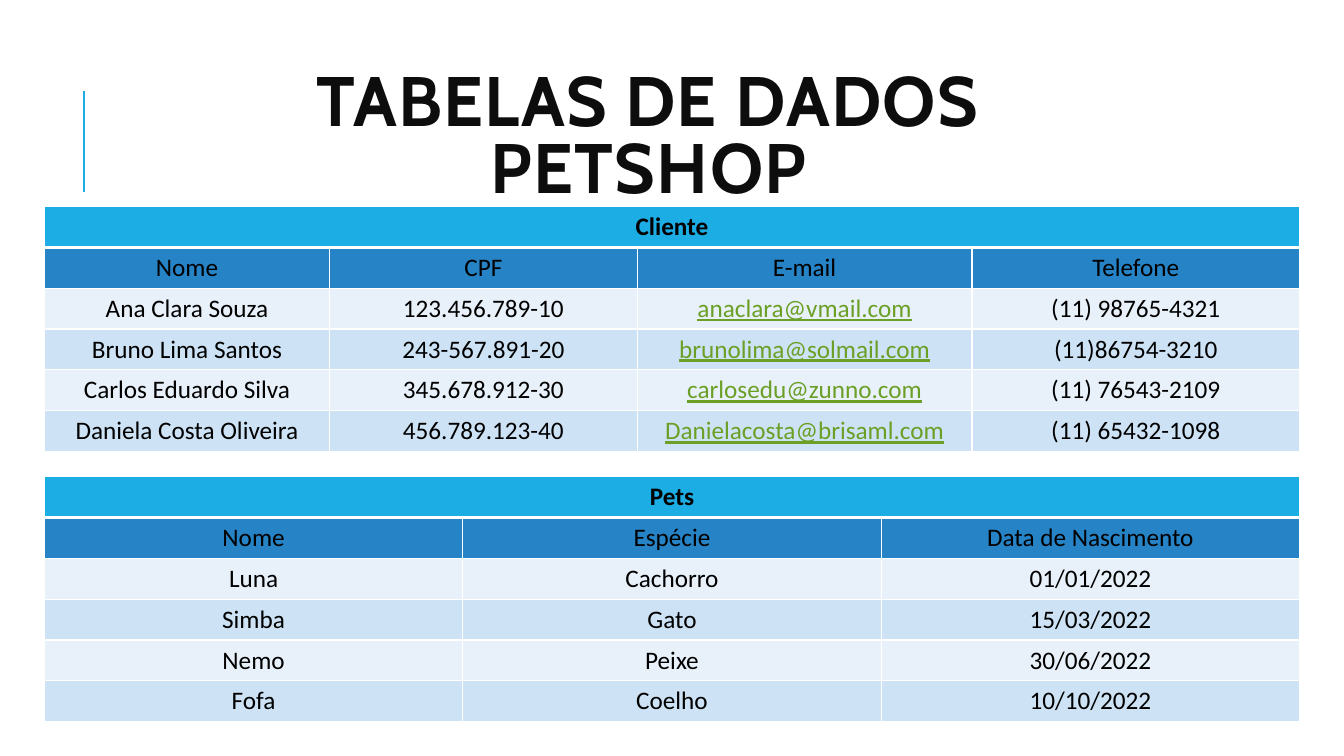
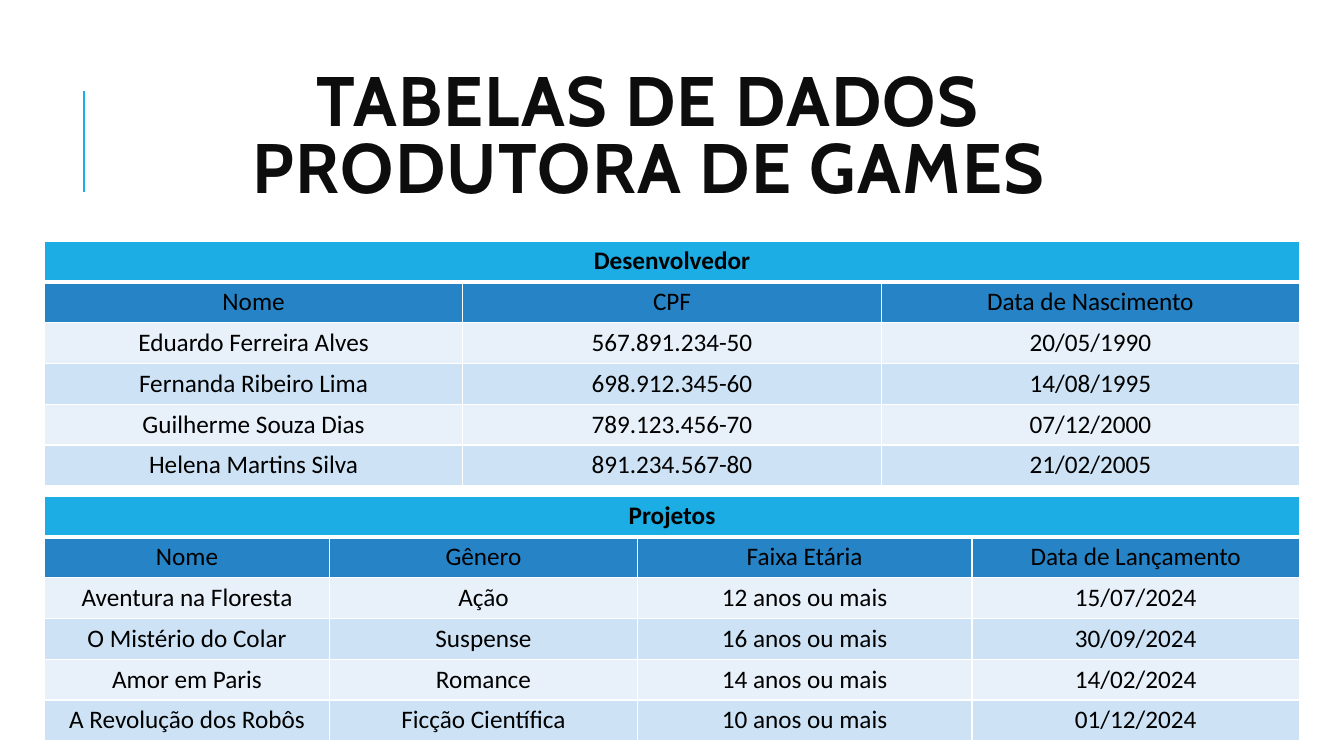
import pptx
import pptx.dml.color
import pptx.enum.shapes
import pptx.enum.text
import pptx.oxml
import pptx.oxml.ns
import pptx.util

Inches = pptx.util.Inches
Pt = pptx.util.Pt
CENTER = pptx.enum.text.PP_ALIGN.CENTER

WHITE, BLACK, INK = "FFFFFF", "000000", "0D0D0D"
SKY, BLUE, GREEN = "1CADE4", "2683C6", "6B9F25"
BANDS = ["E8F1FA", "CDE3F5"]

LEFT, HEIGHT, ROWS = 0.44, 2.43, 6
THREE = [4.15] * 3
FOUR = [2.83, 3.05, 3.32, 3.25]


def color(text):
    return pptx.dml.color.RGBColor.from_string(text)


class Deck:
    def __init__(self):
        self.file = pptx.Presentation()
        self.file.slide_width = Inches(13.33)
        self.file.slide_height = Inches(7.5)
        self.slide = None

    def page(self, *title):
        """Start a slide with its side rule and title lines."""
        self.slide = self.file.slides.add_slide(self.file.slide_layouts[6])
        fill = self.slide.background.fill
        fill.solid()
        fill.fore_color.rgb = color(WHITE)
        self.rule(0.83, 1.9, 0.83, 0.9)
        self.title(title)

    def rule(self, x1, y1, x2, y2):
        line = self.slide.shapes.add_connector(
            pptx.enum.shapes.MSO_CONNECTOR.STRAIGHT,
            Inches(x1), Inches(y1), Inches(x2), Inches(y2))
        line.line.color.rgb = color(SKY)
        line.line.width = Pt(1.5)
        props = line._element.spPr
        props.append(pptx.oxml.parse_xml(
            f'<a:effectLst {pptx.oxml.ns.nsdecls("a")}/>'))

    def title(self, lines):
        box = self.slide.shapes.add_textbox(
            Inches(1.12), Inches(0.57), Inches(10.63), Inches(1.64))
        frame = box.text_frame
        frame.word_wrap = True
        frame.vertical_anchor = pptx.enum.text.MSO_ANCHOR.MIDDLE
        para = frame.paragraphs[0]
        para.line_spacing = 0.8
        for i, text in enumerate(lines):
            if i:
                para.add_line_break()
            run = self.run(para, text, 50, "Cabin", INK, True)
            run._r.get_or_add_rPr().set("spc", "100")

    def run(self, para, text, size, face, ink, bold=False):
        para.alignment = CENTER
        run = para.add_run()
        run.text = text
        run.font.size = Pt(size)
        run.font.name = face
        run.font.bold = bold
        run.font.color.rgb = color(ink)
        return run

    def edge(self, cell, top, bottom):
        """Draw white borders, with the given top and bottom widths."""
        props = cell._tc.get_or_add_tcPr()
        for side, width in zip("LRTB", (1, 1, top, bottom)):
            props.append(pptx.oxml.parse_xml(
                f'<a:ln{side} {pptx.oxml.ns.nsdecls("a")} w="{Pt(width)}">'
                f'<a:solidFill><a:srgbClr val="{WHITE}"/></a:solidFill>'
                f'</a:ln{side}>'))

    def cell(self, cell, text, row):
        self.edge(cell, 3 if row == 1 else 1, 3 if row == 0 else 1)
        cell.fill.solid()
        shade = [SKY, BLUE][row] if row < 2 else BANDS[row % 2]
        cell.fill.fore_color.rgb = color(shade)
        if text:
            mail = "@" in text
            run = self.run(cell.text_frame.paragraphs[0], text, 18, "Calibri",
                           GREEN if mail else BLACK, row == 0)
            run.font.underline = mail

    def table(self, top, widths, name, *rows):
        """Add a table: a merged name row, a header row, then banded rows."""
        grid = self.slide.shapes.add_table(
            ROWS, len(widths), Inches(LEFT), Inches(top),
            Inches(sum(widths)), Inches(HEIGHT)).table
        for col, width in zip(grid.columns, widths):
            col.width = Inches(width)
        for row in grid.rows:
            row.height = Inches(HEIGHT / ROWS)
        heading = [name] + [""] * (len(widths) - 1)
        for r, texts in enumerate([heading, *rows]):
            for c, text in enumerate(texts):
                self.cell(grid.cell(r, c), text, r)
        grid.cell(0, 0).merge(grid.cell(0, len(widths) - 1))


def main():
    deck = Deck()

    deck.page("TABELAS DE DADOS", "PETSHOP")
    deck.table(
        2.05, FOUR, "Cliente",
        ["Nome", "CPF", "E-mail", "Telefone"],
        ["Ana Clara Souza", "123.456.789-10", "anaclara@vmail.com", "(11) 98765-4321"],
        ["Bruno Lima Santos", "243-567.891-20", "brunolima@solmail.com", "(11)86754-3210"],
        ["Carlos Eduardo Silva", "345.678.912-30", "carlosedu@zunno.com", "(11) 76543-2109"],
        ["Daniela Costa Oliveira", "456.789.123-40", "Danielacosta@brisamл.com".replace("л", "l"),
         "(11) 65432-1098"])
    deck.table(
        4.73, THREE, "Pets",
        ["Nome", "Espécie", "Data de Nascimento"],
        ["Luna", "Cachorro", "01/01/2022"],
        ["Simba", "Gato", "15/03/2022"],
        ["Nemo", "Peixe", "30/06/2022"],
        ["Fofa", "Coelho", "10/10/2022"])

    deck.page("TABELAS DE DADOS", "PRODUTORA DE GAMES")
    deck.table(
        2.39, THREE, "Desenvolvedor",
        ["Nome", "CPF", "Data de Nascimento"],
        ["Eduardo Ferreira Alves", "567.891.234-50", "20/05/1990"],
        ["Fernanda Ribeiro Lima", "698.912.345-60", "14/08/1995"],
        ["Guilherme Souza Dias", "789.123.456-70", "07/12/2000"],
        ["Helena Martins Silva", "891.234.567-80", "21/02/2005"])
    deck.table(
        4.92, FOUR, "Projetos",
        ["Nome", "Gênero", "Faixa Etária", "Data de Lançamento"],
        ["Aventura na Floresta", "Ação", "12 anos ou mais", "15/07/2024"],
        ["O Mistério do Colar", "Suspense", "16 anos ou mais", "30/09/2024"],
        ["Amor em Paris", "Romance", "14 anos ou mais", "14/02/2024"],
        ["A Revolução dos Robôs", "Ficção Científica", "10 anos ou mais", "01/12/2024"])

    deck.file.save("out.pptx")


if __name__ == "__main__":
    main()
